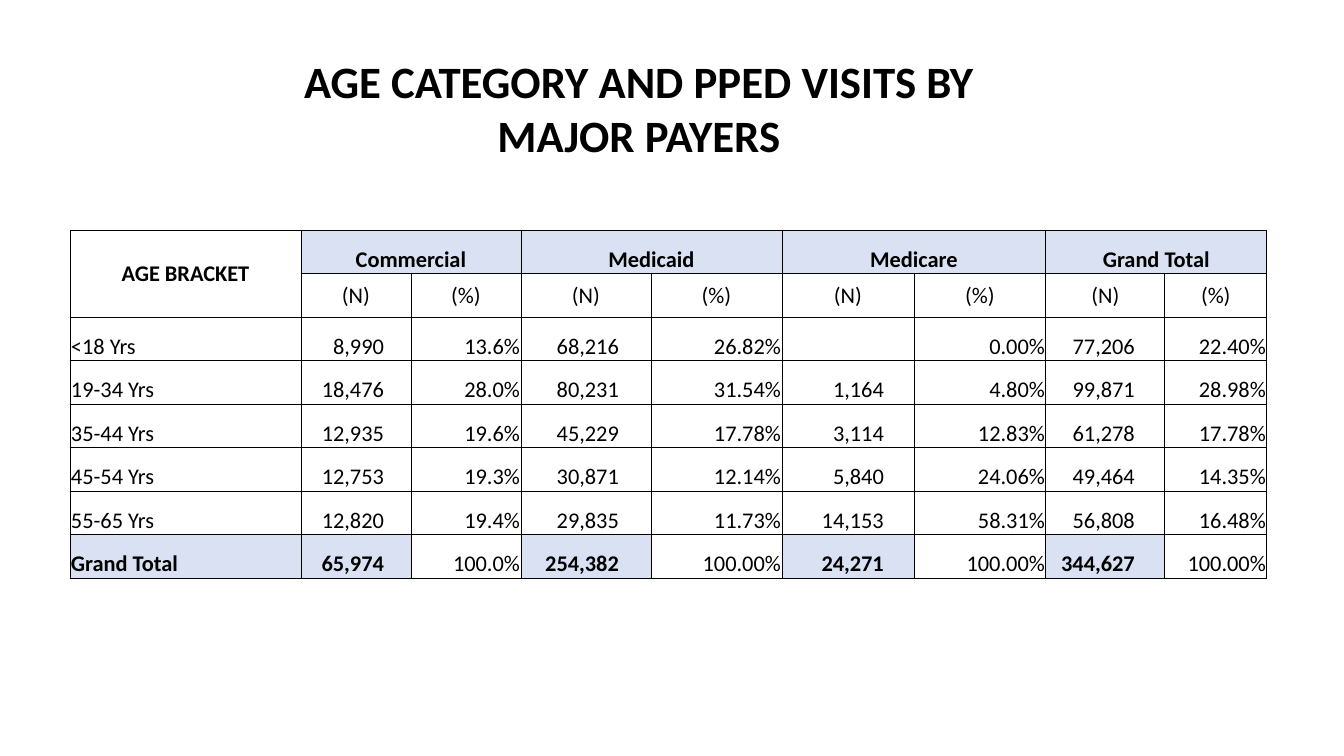
from lxml import etree
from pptx import Presentation
from pptx.dml.color import RGBColor
from pptx.enum.text import MSO_ANCHOR, PP_ALIGN
from pptx.oxml.ns import qn
from pptx.util import Emu, Pt

LEFT, MID, RIGHT = PP_ALIGN.LEFT, PP_ALIGN.CENTER, PP_ALIGN.RIGHT
CENTRE, BASE = MSO_ANCHOR.MIDDLE, MSO_ANCHOR.BOTTOM
SCALE = 914400 / 100.8
FONT, BLACK, WHITE, TINT = "Calibri", "000000", "FFFFFF", "D9E1F2"
WIDTHS = [231, 110, 110, 130, 131, 132, 132, 119, 102]
PADS = {1: 27, 3: 32, 5: 30, 7: 30}
PAYERS = ["Commercial", "Medicaid", "Medicare", "Grand Total"]
DATA = [
    ["<18 Yrs", "8,990", "13.6%", "68,216", "26.82%", "", "0.00%", "77,206", "22.40%"],
    ["19-34 Yrs", "18,476", "28.0%", "80,231", "31.54%", "1,164", "4.80%", "99,871", "28.98%"],
    ["35-44 Yrs", "12,935", "19.6%", "45,229", "17.78%", "3,114", "12.83%", "61,278", "17.78%"],
    ["45-54 Yrs", "12,753", "19.3%", "30,871", "12.14%", "5,840", "24.06%", "49,464", "14.35%"],
    ["55-65 Yrs", "12,820", "19.4%", "29,835", "11.73%", "14,153", "58.31%", "56,808", "16.48%"],
    ["Grand Total", "65,974", "100.0%", "254,382", "100.00%", "24,271", "100.00%",
     "344,627", "100.00%"],
]


def px(n):
    """Turn pixels into EMU."""
    return Emu(round(n * SCALE))


def paint(hue):
    """Turn a hex string into a colour."""
    return RGBColor.from_string(hue)


def write(frame, text, size=16, bold=False, align=LEFT, hue=BLACK):
    """Put formatted text into a text frame."""
    para = frame.paragraphs[0]
    para.alignment = align
    run = para.add_run()
    run.text = text
    run.font.name, run.font.size, run.font.bold = FONT, Pt(size), bold
    run.font.color.rgb = paint(hue)


def border(cell):
    """Draw a thin black line on all four sides of a cell."""
    props = cell._tc.get_or_add_tcPr()
    for side in ("a:lnL", "a:lnR", "a:lnT", "a:lnB"):
        line = etree.SubElement(props, qn(side), w=str(Pt(0.5)))
        fill = etree.SubElement(line, qn("a:solidFill"))
        etree.SubElement(fill, qn("a:srgbClr"), val=BLACK)


def style(cell, fill=WHITE, anchor=BASE, pad=1):
    """Set the borders, fill, anchor and margins of a cell."""
    border(cell)
    cell.fill.solid()
    cell.fill.fore_color.rgb = paint(fill)
    cell.vertical_anchor = anchor
    cell.margin_left = cell.margin_top = px(1)
    cell.margin_right, cell.margin_bottom = px(pad), 0


def add_title(slide):
    """Add the slide title."""
    box = slide.shapes.add_textbox(px(232), px(49), px(814), px(119))
    box.text_frame.word_wrap = True
    write(box.text_frame, "AGE CATEGORY AND PPED VISITS BY MAJOR PAYERS",
          size=32, bold=True, align=MID)


def add_grid(slide):
    """Add the empty table with its column and row sizes."""
    count = len(DATA) + 2
    table = slide.shapes.add_table(count, len(WIDTHS), px(70), px(230),
                                   px(sum(WIDTHS)), px(348)).table
    table.first_row = table.horz_banding = False
    for col, width in zip(table.columns, WIDTHS):
        col.width = px(width)
    for row in table.rows:
        row.height = px(348) // count
    return table


def fill_head(table):
    """Fill the two header rows."""
    for col in range(len(WIDTHS)):
        for row in range(2):
            tint = TINT if col and not row else WHITE
            style(table.cell(row, col), fill=tint, anchor=BASE if tint == TINT else CENTRE)
    table.cell(0, 0).merge(table.cell(1, 0))
    write(table.cell(0, 0).text_frame, "AGE BRACKET", bold=True, align=MID)
    for i, payer in enumerate(PAYERS):
        col = 2 * i + 1
        table.cell(0, col).merge(table.cell(0, col + 1))
        write(table.cell(0, col).text_frame, payer, bold=True, align=MID)
        for j, unit in enumerate(("(N)", "(%)")):
            write(table.cell(1, col + j).text_frame, unit, align=MID)


def fill_body(table):
    """Fill the age rows and the total row."""
    for i, values in enumerate(DATA):
        for col, value in enumerate(values):
            cell = table.cell(i + 2, col)
            strong = i == len(DATA) - 1 and (col == 0 or col in PADS)
            style(cell, fill=TINT if strong else WHITE, pad=PADS.get(col, 1))
            write(cell.text_frame, value, bold=strong, align=RIGHT if col else LEFT)


def main():
    """Build and save the slide."""
    deck = Presentation()
    deck.slide_width, deck.slide_height = px(1344), px(756)
    slide = deck.slides.add_slide(deck.slide_layouts[6])
    table = add_grid(slide)
    fill_head(table)
    fill_body(table)
    add_title(slide)
    deck.save("out.pptx")


if __name__ == "__main__":
    main()
